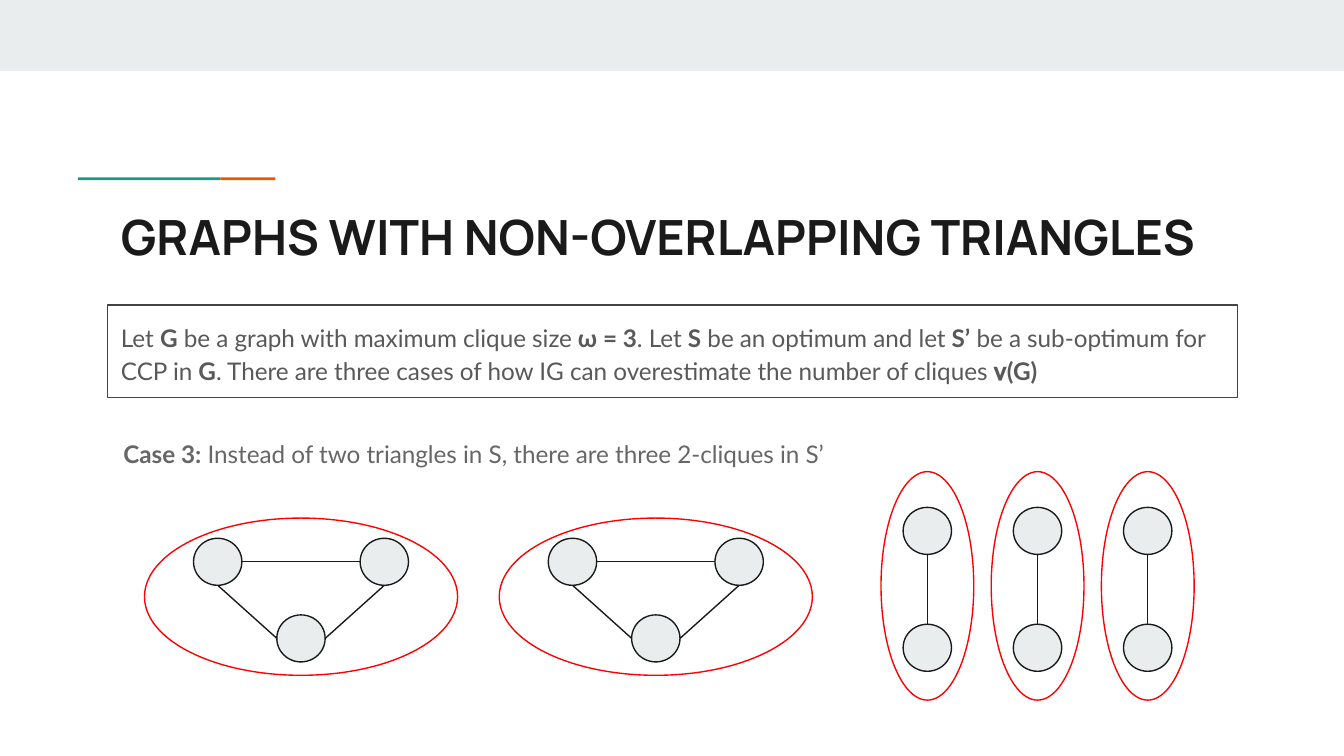
from lxml.etree import SubElement
from pptx import Presentation
from pptx.dml.color import RGBColor
from pptx.enum.shapes import MSO_CONNECTOR, MSO_SHAPE
from pptx.enum.text import MSO_ANCHOR, MSO_AUTO_SIZE, PP_ALIGN
from pptx.oxml.ns import qn
from pptx.util import Inches, Pt

THEME = {
    "band": "E9EDEE", "teal": "1A9988", "orange": "EB5600", "ink": "1A1A1A",
    "clique": "FF0000", "frame": "434343", "body": "595959", "case": "666666",
    "title_font": "Manrope", "body_font": "Lato",
    "title_size": 26, "body_size": 13, "line": 0.75,
}
WIDTH = 10
HEIGHT = WIDTH * 9 / 16
MARGIN, CONTENT_WIDTH = 0.8, 8.41

TITLE = [("GRAPHS WITH NON-OVERLAPPING TRIANGLES", True)]
STATEMENT = [
    ("Let ", False), ("G", True),
    (" be a graph with maximum clique size ", False), ("ω = 3", True),
    (". Let ", False), ("S", True),
    (" be an optimum and let ", False), ("S’", True),
    (" be a sub-optimum for CCP in ", False), ("G", True),
    (". There are three cases of how IG can overestimate the number of cliques 𝛎", False),
    ("(G)", True),
]
CASE = [("Case 3:", True),
        (" Instead of two triangles in S, there are three 2-cliques in S’", False)]

NODE = (0.36, 0.35)
LEFT, RIGHT, TOP, BOTTOM = (-1, 0), (1, 0), (0, -1), (0, 1)
CLIQUES = [
    {"count": 2, "first": (2.24, 4.44), "step": 2.64, "size": (2.33, 1.17),
     "nodes": [(-0.62, -0.26), (0.62, -0.26), (0, 0.31)],
     "edges": [(0, RIGHT, 1, LEFT), (2, RIGHT, 1, BOTTOM), (0, BOTTOM, 2, LEFT)]},
    {"count": 3, "first": (6.9, 4.36), "step": 0.82, "size": (0.69, 1.7),
     "nodes": [(0, -0.41), (0, 0.46)],
     "edges": [(0, BOTTOM, 1, TOP)]},
]


def color(name):
    return RGBColor.from_string(THEME[name])


def place(shape, *box):
    for name, value in zip(("left", "top", "width", "height"), box):
        setattr(shape, name, Inches(value))


def set_line(shape, name):
    shape.line.color.rgb = color(name)
    shape.line.width = Pt(THEME["line"])


def add_shape(slide, kind, box, fill=None, line=None):
    shape = slide.shapes.add_shape(kind, *map(Inches, box))
    shape.shadow.inherit = False
    if fill:
        shape.fill.solid()
        shape.fill.fore_color.rgb = color(fill)
    else:
        shape.fill.background()
    if line:
        set_line(shape, line)
    else:
        shape.line.fill.background()


def write(shape, runs, role, ink, **spacing):
    frame = shape.text_frame
    settings = {"word_wrap": True, "auto_size": MSO_AUTO_SIZE.NONE,
                "vertical_anchor": MSO_ANCHOR.TOP}
    settings.update({f"margin_{side}": Inches(0.1)
                     for side in ("left", "right", "top", "bottom")})
    for name, value in settings.items():
        setattr(frame, name, value)
    paragraph = frame.paragraphs[0]
    formats = {"alignment": PP_ALIGN.LEFT, "space_before": Pt(0), **spacing}
    for name, value in formats.items():
        setattr(paragraph, name, value)
    properties = paragraph._p.get_or_add_pPr()
    properties.set("marL", "0")
    properties.set("indent", "0")
    SubElement(properties, qn("a:buNone"))
    for text, bold in runs:
        run = paragraph.add_run()
        run.text = text
        font = {"name": THEME[f"{role}_font"], "size": Pt(THEME[f"{role}_size"]), "bold": bold}
        for name, value in font.items():
            setattr(run.font, name, value)
        run.font.color.rgb = color(ink)


def add_edge(slide, start, end):
    edge = slide.shapes.add_connector(MSO_CONNECTOR.STRAIGHT, *map(Inches, (*start, *end)))
    set_line(edge, "ink")
    SubElement(edge._element.spPr, qn("a:effectLst"))


def add_ellipse(slide, center, size, fill, line):
    corner = [middle - length / 2 for middle, length in zip(center, size)]
    add_shape(slide, MSO_SHAPE.OVAL, (*corner, *size), fill, line)


def rim(center, side):
    return [middle + way * length / 2 for middle, way, length in zip(center, side, NODE)]


def add_clique(slide, center, clique):
    nodes = [(center[0] + x, center[1] + y) for x, y in clique["nodes"]]
    add_ellipse(slide, center, clique["size"], None, "clique")
    for node in nodes:
        add_ellipse(slide, node, NODE, "band", "ink")
    for first, first_side, second, second_side in clique["edges"]:
        add_edge(slide, rim(nodes[first], first_side), rim(nodes[second], second_side))


def main():
    presentation = Presentation()
    presentation.slide_width, presentation.slide_height = Inches(WIDTH), Inches(HEIGHT)
    slide = presentation.slides.add_slide(presentation.slide_layouts[1])

    add_shape(slide, MSO_SHAPE.RECTANGLE, (0, 0, WIDTH, 0.53), "band")
    for left, width, fill in ((0.58, 1.06, "teal"), (1.64, 0.41, "orange")):
        add_shape(slide, MSO_SHAPE.RECTANGLE, (left, 1.32, width, 0.02), fill)

    title, statement = slide.placeholders
    place(title, MARGIN, 1.44, 8.78, 0.59)
    write(title, TITLE, "title", "ink")
    place(statement, MARGIN, 2.27, CONTENT_WIDTH, 0.69)
    set_line(statement, "frame")
    write(statement, STATEMENT, "body", "body", line_spacing=1.15, space_after=Pt(16))
    case = slide.shapes.add_textbox(*map(Inches, (0.82, 3.17, 8.39, 2.04)))
    write(case, CASE, "body", "case")

    for clique in CLIQUES:
        x, y = clique["first"]
        for index in range(clique["count"]):
            add_clique(slide, (x + index * clique["step"], y), clique)
    presentation.save("out.pptx")


if __name__ == "__main__":
    main()
